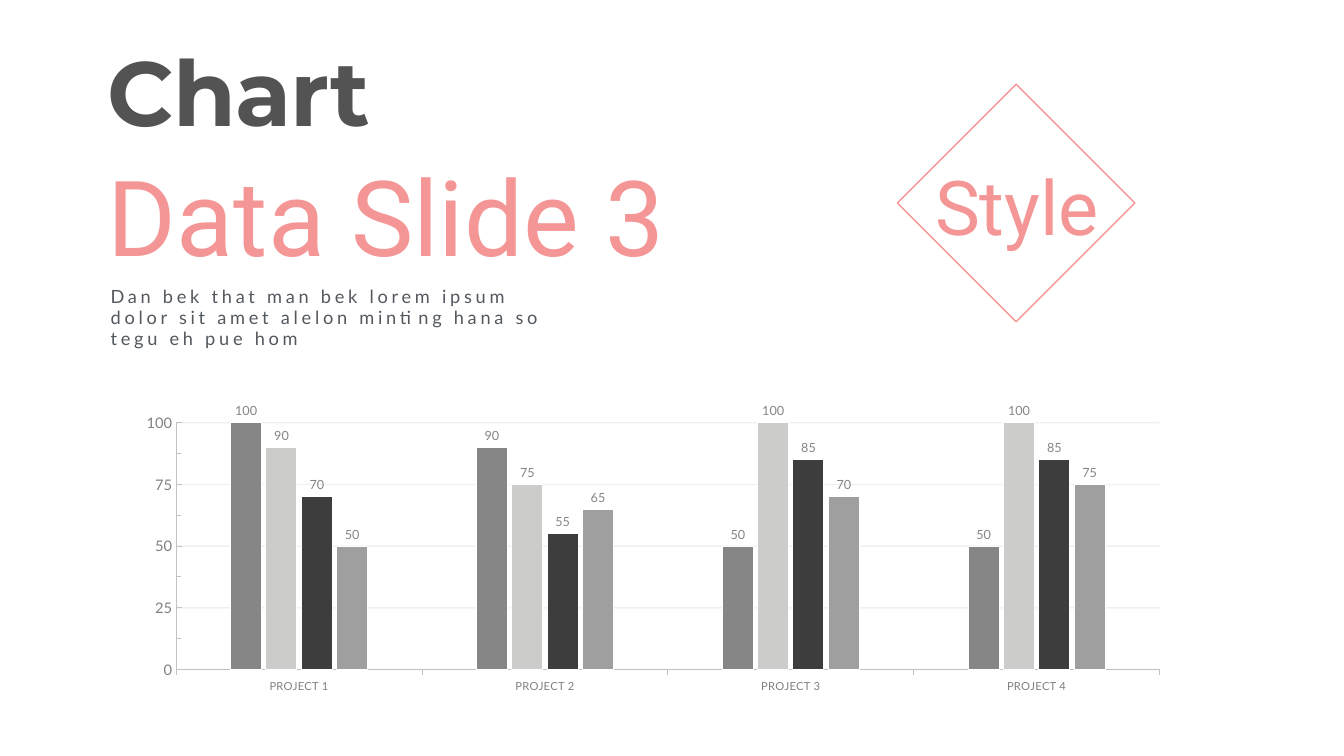
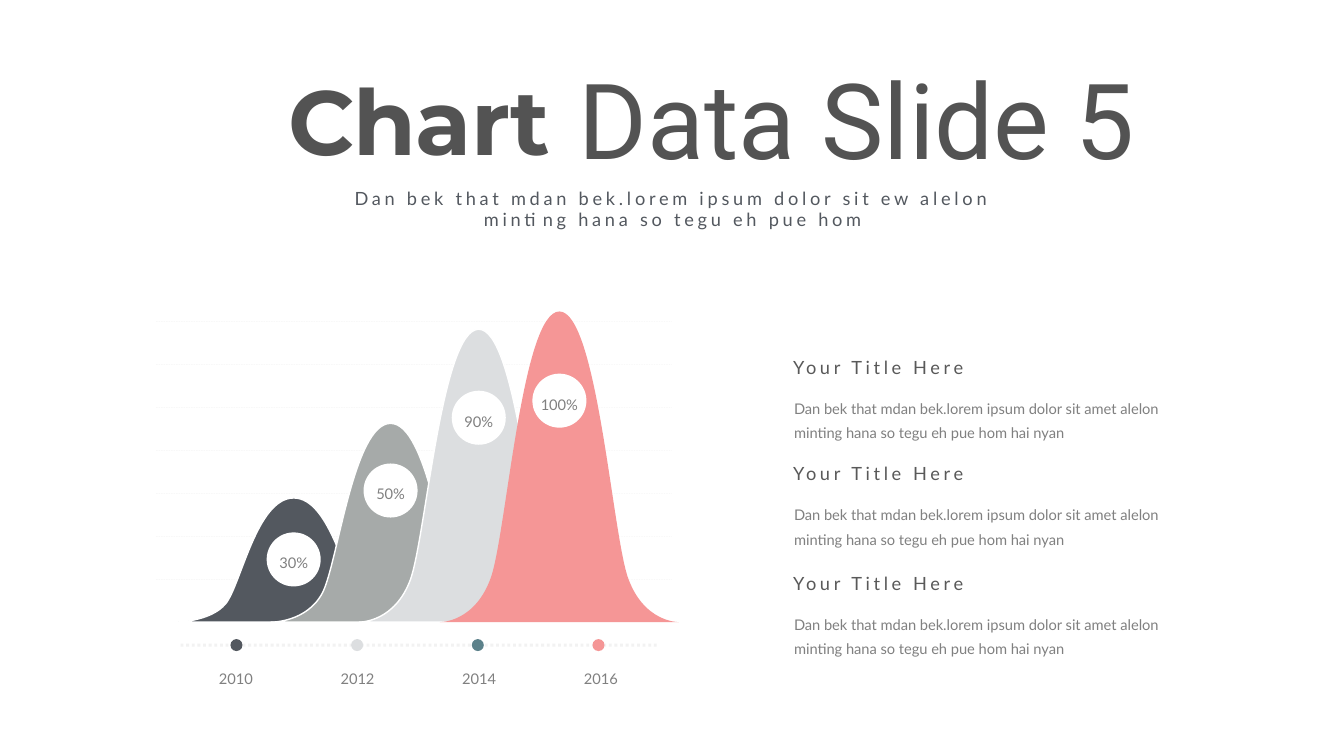
from dataclasses import dataclass

from pptx import Presentation
from pptx.chart.data import CategoryChartData
from pptx.dml.color import RGBColor
from pptx.enum import chart as charts, dml, shapes, text as texts
from pptx.oxml import parse_xml
from pptx.oxml.ns import nsdecls, qn
from pptx.oxml.xmlchemy import OxmlElement
from pptx.util import Pt

PINK, DARK, SLATE = "F59696", "535353", "53585F"
GREY, SILVER, WHITE, RULE = "808080", "DCDEE0", "FFFFFF", "BFBFBF"
LEFT, CENTER = texts.PP_ALIGN.LEFT, texts.PP_ALIGN.CENTER
TOP, MIDDLE = texts.MSO_ANCHOR.TOP, texts.MSO_ANCHOR.MIDDLE
RECTANGLE = shapes.MSO_SHAPE.RECTANGLE
OVAL = shapes.MSO_SHAPE.OVAL


@dataclass
class Style:
    font: str
    size: float
    color: str
    bold: bool = False
    tracking: float = 0
    line_spacing: object = 1.0


TITLE = Style("Montserrat", 65, DARK, bold=True, tracking=-0.7)
INTRO = Style("Lato", 13, SLATE, tracking=2.7, line_spacing=Pt(15))
ITEM_TITLE = Style("Lato", 13, "595959", tracking=2.6)
SMALL = Style("Lato", 10.5, GREY, line_spacing=1.4)


def rgb(color):
    return RGBColor.from_string(color)


def points(*values):
    return [Pt(value) for value in values]


def set_alpha(element, percent):
    for color in element.iter(qn("a:srgbClr")):
        alpha = OxmlElement("a:alpha")
        alpha.set("val", str(percent * 1000))
        color.append(alpha)


def format_font(font, style):
    font.name, font.size, font.bold = style.font, Pt(style.size), style.bold
    font.color.rgb = rgb(style.color)


def write(shape, content, style, align=LEFT, anchor=TOP, wrap=True):
    frame = shape.text_frame
    frame.text = content
    frame.word_wrap = wrap
    frame.auto_size = texts.MSO_AUTO_SIZE.NONE
    frame.vertical_anchor = anchor
    frame.margin_left = frame.margin_right = Pt(2)
    frame.margin_top = frame.margin_bottom = Pt(2)
    paragraph = frame.paragraphs[0]
    paragraph.alignment = align
    paragraph.line_spacing = style.line_spacing
    paragraph.space_before = Pt(0)
    run = paragraph.runs[0]
    format_font(run.font, style)
    if style.tracking:
        run.font._element.set("spc", str(round(style.tracking * 100)))


def add_text(slide, box, content, style, **options):
    write(slide.shapes.add_textbox(*points(*box)), content, style, **options)


def fill_placeholder(placeholder, box, content, style, align=LEFT):
    placeholder.left, placeholder.top, placeholder.width, placeholder.height = points(*box)
    write(placeholder, content, style, align)


def remove_bullet(paragraph):
    properties = paragraph._p.get_or_add_pPr()
    properties.set("marL", "0")
    properties.set("indent", "0")
    properties.append(OxmlElement("a:buNone"))


def paint(shape, fill=None, line=None):
    shape.shadow.inherit = False
    if fill:
        shape.fill.solid()
        shape.fill.fore_color.rgb = rgb(fill)
    else:
        shape.fill.background()
    if line:
        shape.line.color.rgb = rgb(line)
        shape.line.width = Pt(1)
    else:
        shape.line.fill.background()


def add_circle(slide, x, y, diameter, color):
    """Add a circle centred on x, y."""
    corner = x - diameter / 2, y - diameter / 2
    circle = slide.shapes.add_shape(OVAL, *points(*corner, diameter, diameter))
    paint(circle, color)
    return circle


def add_rule(slide, left, right, y, width, dash, alpha):
    line = slide.shapes.add_connector(
        shapes.MSO_CONNECTOR.STRAIGHT, *points(left, y, right, y))
    line.line.color.rgb = rgb(RULE)
    line.line.width = Pt(width)
    line.line.dash_style = dash
    set_alpha(line._element.spPr, alpha)
    line._element.spPr.append(OxmlElement("a:effectLst"))


def bell_controls():
    """Bezier control points of a bell in a unit square, left foot to right foot."""
    half = [(0, 1), (0.005, 1), (0.15, 1), (0.215, 0.853),
            (0.28, 0.7), (0.345, 0), (0.5, 0)]
    return half + [(1 - x, y) for x, y in reversed(half[:-1])]


def curve_segments(shape):
    """Turn each three line segments of a freeform into one Bezier curve."""
    lines = list(shape._element.iter(qn("a:lnTo")))
    for start in range(0, len(lines), 3):
        curve = OxmlElement("a:cubicBezTo")
        lines[start].addprevious(curve)
        for line in lines[start:start + 3]:
            curve.append(line[0])
            line.getparent().remove(line)


def add_bell(slide, center, top, base, width, color, line):
    left, height = center - width / 2, base - top
    vertices = [points(left + x * width, top + y * height) for x, y in bell_controls()]
    builder = slide.shapes.build_freeform(*vertices[0])
    builder.add_line_segments(vertices[1:], close=True)
    bell = builder.convert_to_shape()
    curve_segments(bell)
    paint(bell, color, line)


def add_heading(presentation, title_box, name, name_box, name_color,
                intro_box, intro, align):
    """Add a slide with its title, the large name and the introduction."""
    slide = presentation.slides.add_slide(presentation.slide_layouts[1])
    title, body = slide.placeholders
    fill_placeholder(title, title_box, "Chart", TITLE)
    fill_placeholder(body, intro_box, intro, INTRO, align)
    remove_bullet(body.text_frame.paragraphs[0])
    add_text(slide, name_box, name, Style("Roboto", 75, name_color))
    return slide


def format_axis(axis, size, tick):
    axis.major_tick_mark = tick
    format_font(axis.tick_labels.font, Style("Lato", size, GREY))
    axis.format.line.color.rgb = rgb("C2C2C2")
    axis.format.line.width = Pt(0.75)


def place_plot(chart, **fractions):
    """Fix the inner plot area as fractions of the chart frame."""
    plot_area = chart._chartSpace.chart.plotArea
    for layout in plot_area.findall(qn("c:layout")):
        plot_area.remove(layout)
    values = "".join(f'<c:{key} val="{value}"/>' for key, value in fractions.items())
    plot_area.insert(0, parse_xml(
        f'<c:layout {nsdecls("c")}><c:manualLayout><c:layoutTarget val="inner"/>'
        f'<c:xMode val="edge"/><c:yMode val="edge"/>{values}'
        '</c:manualLayout></c:layout>'))


def add_project_chart(slide):
    series_rows = [
        ("858685", (100, 90, 50, 50)),
        ("CCCDCB", (90, 75, 100, 100)),
        ("3C3D3C", (70, 55, 85, 85)),
        ("9E9F9E", (50, 65, 70, 75)),
    ]
    data = CategoryChartData(number_format="0")
    data.categories = [f"PROJECT {number}" for number in range(1, 5)]
    for number, (_, values) in enumerate(series_rows, 1):
        data.add_series(f"Series {number}", values)
    chart = slide.shapes.add_chart(
        charts.XL_CHART_TYPE.COLUMN_CLUSTERED, *points(98, 288, 734, 207), data).chart
    chart.has_legend = chart.has_title = False
    format_font(chart.font, Style("Calibri", 10, "000000"))
    place_plot(chart, x=0.038, y=0.064, w=0.957, h=0.856)

    ticks = charts.XL_TICK_MARK
    format_axis(chart.category_axis, 8, ticks.OUTSIDE)
    chart.category_axis.tick_label_position = charts.XL_TICK_LABEL_POSITION.LOW
    axis = chart.value_axis
    format_axis(axis, 10.5, ticks.INSIDE)
    axis.minor_tick_mark = ticks.INSIDE
    axis.minimum_scale, axis.maximum_scale = 0, 100
    axis.major_unit, axis.minor_unit = 25, 12.5
    axis.tick_labels.number_format = "0"
    axis.tick_labels.number_format_is_linked = False
    grid = axis.major_gridlines.format.line
    grid.color.rgb = rgb("E0E0E0")
    grid.width = Pt(1)
    set_alpha(axis._element.find(qn("c:majorGridlines")), 48)

    plot = chart.plots[0]
    plot.gap_width, plot.overlap, plot.vary_by_categories = 351, -14, False
    for series, (color, _) in zip(plot.series, series_rows):
        series.format.fill.solid()
        series.format.fill.fore_color.rgb = rgb(color)
        series.format.line.color.rgb = rgb(WHITE)
        series.format.line.width = Pt(0.75)
        labels = series.data_labels
        labels.show_value = True
        labels.position = charts.XL_LABEL_POSITION.OUTSIDE_END
        labels.number_format, labels.number_format_is_linked = "0", False
        format_font(labels.font, Style("Lato", 9, "858585"))


def add_bells(slide):
    for row in range(7):
        add_rule(slide, 111.6, 480, 229.7 + row * 30.7, 0.25, dml.MSO_LINE.DASH, 30)
    bells = [
        (209.8, 355.7, SLATE, WHITE, "30%", 399.6),
        (279, 302.4, "A6AAA9", WHITE, "50%", 350.4),
        (342, 235.2, SILVER, WHITE, "90%", 298.4),
        (399.6, 222.5, PINK, None, "100%", 286.2),
    ]
    for center, top, color, line, _, _ in bells:
        add_bell(slide, center, top, 444.4, 170.8, color, line)
    for center, _, _, _, share, y in bells:
        badge = add_circle(slide, center, y, 38.6, WHITE)
        write(badge, share, SMALL, align=CENTER, anchor=MIDDLE, wrap=False)


def add_timeline(slide):
    y = 460.8
    add_rule(slide, 129, 469.5, y, 2, dml.MSO_LINE.ROUND_DOT, 20)
    for index, color in enumerate((SLATE, SILVER, "5C818A", PINK)):
        add_circle(slide, 168.9 + index * 86.2, y, 8.6, color)
        add_text(slide, (147.5 + index * 86.9, 472.3, 42, 19.5), str(2010 + 2 * index),
                 SMALL, align=CENTER, anchor=MIDDLE)


def add_items(slide):
    for top in (252.6, 328.5, 407):
        add_text(slide, (564.5, top, 146, 19.5), "Your Title Here", ITEM_TITLE)
        add_text(slide, (565.2, top + 25.7, 276.5, 38),
                 "Dan bek that mdan bek.lorem ipsum dolor sit amet alelon "
                 "minting hana so tegu eh pue hom hai nyan", SMALL)


def build_column_slide(presentation):
    slide = add_heading(
        presentation, (75, 23, 281, 83), "Data Slide 3", (75, 106, 425, 95), PINK,
        (77, 202.3, 317.5, 50),
        "Dan bek that man bek lorem ipsum dolor sit amet alelon "
        "minting hana so tegu eh pue hom", LEFT)
    diamond = slide.shapes.add_shape(RECTANGLE, *points(665.8, 85, 120, 120))
    diamond.rotation = 45
    paint(diamond, line=PINK)
    add_text(slide, (649.5, 112.3, 154, 69), "Style", Style("Roboto", 54, PINK),
             align=CENTER)
    add_project_chart(slide)


def build_bell_slide(presentation):
    slide = add_heading(
        presentation, (203.8, 44, 232, 83), "Data Slide 5", (411, 36.7, 426, 95), DARK,
        (234, 132.5, 493, 35),
        "Dan bek that mdan bek.lorem ipsum dolor sit ew alelon "
        "minting hana so tegu eh pue hom", CENTER)
    add_bells(slide)
    add_timeline(slide)
    add_items(slide)


def main():
    presentation = Presentation()
    presentation.slide_width, presentation.slide_height = points(960, 540)
    build_column_slide(presentation)
    build_bell_slide(presentation)
    presentation.save("out.pptx")


if __name__ == "__main__":
    main()
